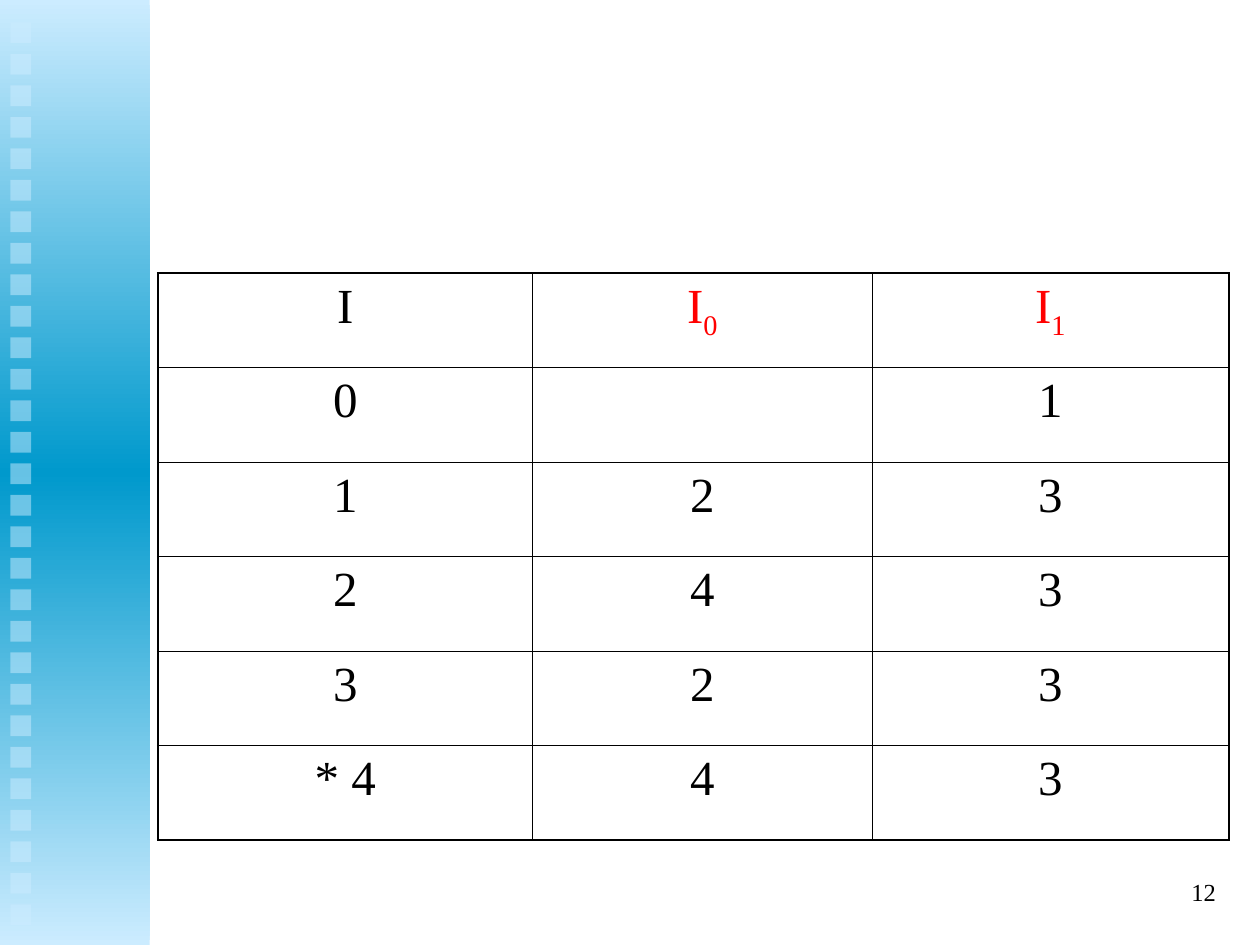
from lxml import etree
from pptx import Presentation
from pptx.dml.color import RGBColor
from pptx.enum.shapes import MSO_SHAPE
from pptx.enum.text import MSO_ANCHOR, PP_ALIGN
from pptx.oxml.ns import qn
from pptx.util import Cm, Pt

RECT = MSO_SHAPE.RECTANGLE
MIDDLE = MSO_ANCHOR.MIDDLE
CENTER, RIGHT = PP_ALIGN.CENTER, PP_ALIGN.RIGHT

BLACK = RGBColor(0x00, 0x00, 0x00)
RED = RGBColor(0xFF, 0x00, 0x00)
PALE_BLUE = RGBColor(0xCC, 0xEC, 0xFF)
DEEP_BLUE = RGBColor(0x00, 0x99, 0xCC)

FONT = "Times New Roman"
SLIDE_W, SLIDE_H = 25.4, 19.05
SQUARE_COUNT, SQUARE_PITCH = 29, SLIDE_H / 30
COL_WIDTHS = (7.56, 6.84, 7.19)
ROW_HEIGHT = SLIDE_H / 10
THIN, THICK = Pt(0.45), Pt(1.08)

# A "_" parts a letter from its subscript.
ROWS = [
    ("I", "I_0", "I_1"),
    ("0", "", "1"),
    ("1", "2", "3"),
    ("2", "4", "3"),
    ("3", "2", "3"),
    ("* 4", "4", "3"),
]


def add_color(parent, color, **mods):
    clr = etree.SubElement(parent, qn("a:srgbClr"), val=str(color))
    for name, value in mods.items():
        etree.SubElement(clr, qn("a:" + name), val=str(value))


def set_text(tf, text, size, color=BLACK, align=CENTER, before=0):
    """Write one paragraph; what follows "_" becomes a subscript."""
    p = tf.paragraphs[0]
    p.alignment = align
    p.space_before = Pt(before)
    p.font.size = Pt(size)
    base, _, sub = text.partition("_")
    for part, offset in ((base, None), (sub, "-25000")):
        if part:
            r = p.add_run()
            r.text = part
            r.font.name, r.font.size = FONT, Pt(size)
            r.font.color.rgb = color
            if offset:
                r.font._element.set("baseline", offset)


def add_rect(s, left, top, width, height):
    sp = s.shapes.add_shape(RECT, Cm(left), Cm(top), Cm(width), Cm(height))
    sp.shadow.inherit = False
    sp.line.fill.background()
    return sp


def add_sidebar(s):
    bar = add_rect(s, 0, 0, 3.02, SLIDE_H)
    bar.fill.gradient()
    bar.fill.gradient_angle = 270
    stops = bar._element.spPr.find(".//" + qn("a:gsLst"))
    for stop in list(stops):
        stops.remove(stop)
    for pos, color in ((0, PALE_BLUE), (50000, DEEP_BLUE), (100000, PALE_BLUE)):
        add_color(etree.SubElement(stops, qn("a:gs"), pos=str(pos)), color)

    for i in range(SQUARE_COUNT):
        square = add_rect(s, 0.21, 0.45 + i * SQUARE_PITCH, 0.42, 0.42)
        square.fill.solid()
        square.fill.fore_color.rgb = PALE_BLUE
        clr = square._element.spPr.find(".//" + qn("a:srgbClr"))
        etree.SubElement(clr, qn("a:alpha"), val="50000")


def set_borders(cell, outer):
    """Draw the sides named in outer thick and the others thin."""
    tc_pr = cell._tc.get_or_add_tcPr()
    for i, side in enumerate("LRTB"):
        width = THICK if side in outer else THIN
        ln = etree.Element(qn("a:ln" + side), w=str(width))
        add_color(etree.SubElement(ln, qn("a:solidFill")), BLACK)
        tc_pr.insert(i, ln)


def add_state_table(s):
    n_rows, n_cols = len(ROWS), len(COL_WIDTHS)
    frame = s.shapes.add_table(n_rows, n_cols, Cm(3.18), Cm(5.51),
                               Cm(sum(COL_WIDTHS)), Cm(n_rows * ROW_HEIGHT))
    table = frame.table
    table.first_row = table.horz_banding = False
    for col, width in zip(table.columns, COL_WIDTHS):
        col.width = Cm(width)
    for i, row in enumerate(ROWS):
        table.rows[i].height = Cm(ROW_HEIGHT)
        for j, text in enumerate(row):
            cell = table.cell(i, j)
            cell.fill.background()
            set_text(cell.text_frame, text, size=28, before=7,
                     color=RED if "_" in text else BLACK)
            edges = {"L": j == 0, "R": j == n_cols - 1,
                     "T": i == 0, "B": i == n_rows - 1}
            set_borders(cell, [side for side in edges if edges[side]])


def add_slide_number(s):
    box = s.shapes.add_textbox(Cm(19.48), Cm(17.35), Cm(5.28), Cm(1.27))
    tf = box.text_frame
    tf.word_wrap = True
    tf.vertical_anchor = MIDDLE
    set_text(tf, "12", size=14, align=RIGHT)


def main():
    prs = Presentation()
    prs.slide_width, prs.slide_height = Cm(SLIDE_W), Cm(SLIDE_H)
    s = prs.slides.add_slide(prs.slide_layouts[6])
    add_sidebar(s)
    add_state_table(s)
    add_slide_number(s)
    prs.save("out.pptx")


if __name__ == "__main__":
    main()
